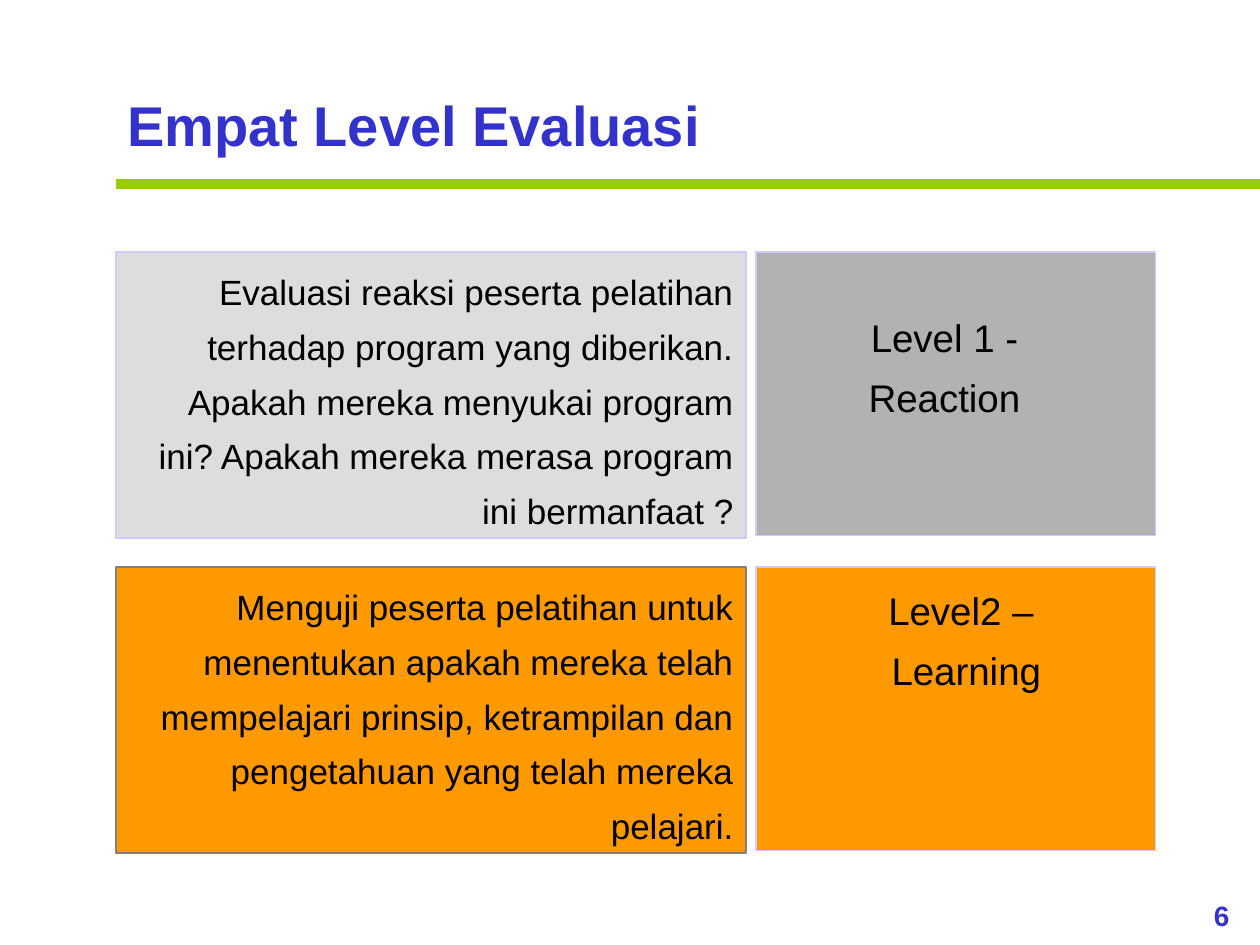
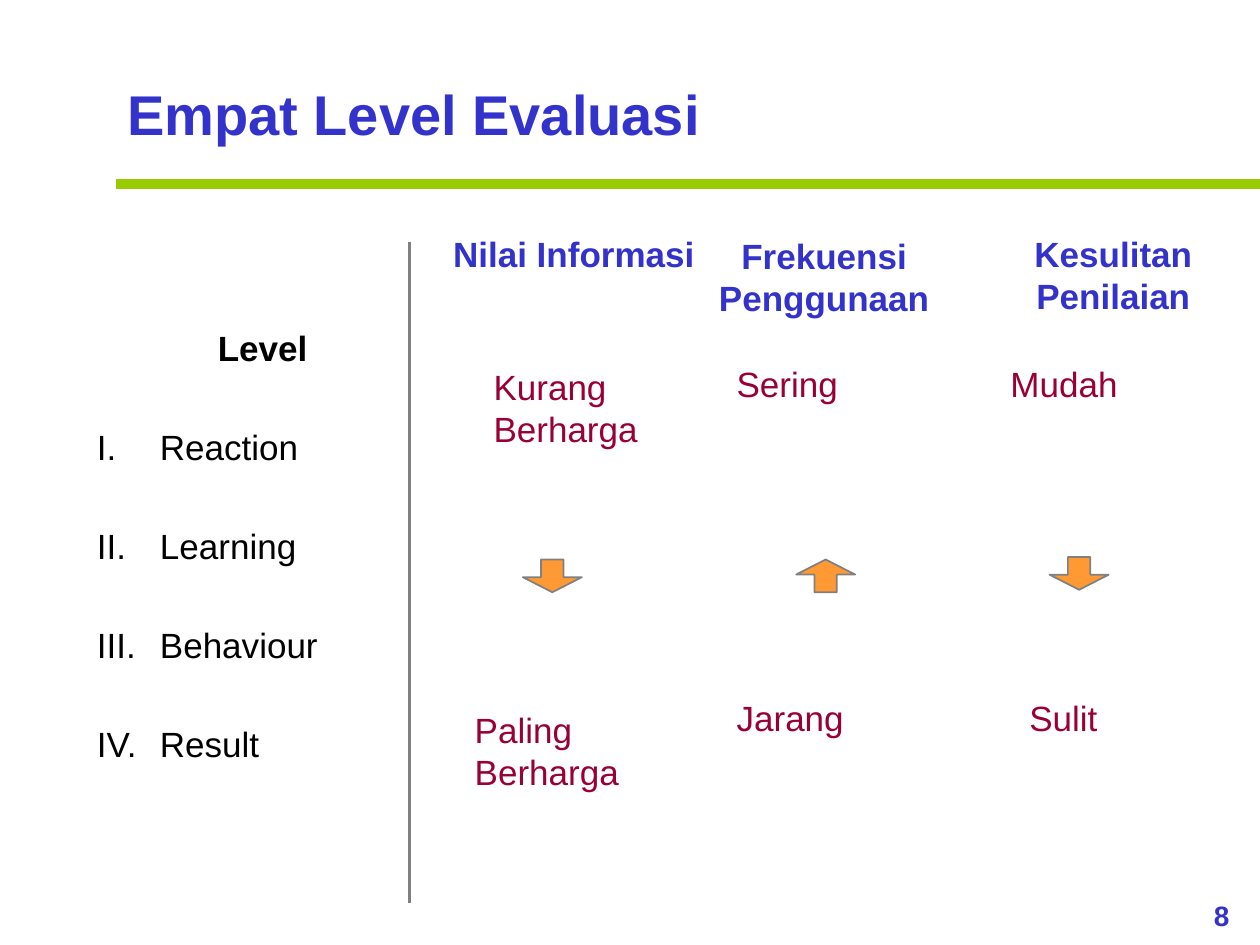
import dataclasses
import typing

import lxml.etree
import pptx
import pptx.dml.color
import pptx.enum.shapes
import pptx.enum.text
import pptx.oxml.ns
import pptx.util

Cm = pptx.util.Cm
Pt = pptx.util.Pt
Align = pptx.enum.text.PP_ALIGN
Kind = pptx.enum.shapes.MSO_SHAPE
qn = pptx.oxml.ns.qn

FONT = "Arial"
COLORS = {
    "blue": "3333CC", "green": "99CC00", "orange": "FF9900",
    "light": "DDDDDD", "mid": "B2B2B2", "lilac": "CCCCFF",
    "gray": "808080", "arrow": "FF9933", "red": "990033",
    "black": "000000",
}
EDGE = 2.34


@dataclasses.dataclass(frozen=True)
class Area:
    """Left, top, width and height in centimetres."""
    left: float
    top: float
    width: float
    height: float

    def spans(self) -> tuple:
        return tuple(Cm(n) for n in dataclasses.astuple(self))


@dataclasses.dataclass(frozen=True)
class Style:
    size: int
    color: str = "black"
    bold: bool = False
    align: typing.Any = Align.LEFT
    space: float = 1.0


@dataclasses.dataclass(frozen=True)
class Level:
    text: str
    names: tuple
    spot: Area
    fill: str
    pale: str
    line: str


@dataclasses.dataclass(frozen=True)
class Column:
    head: str
    zone: Area
    arrow: typing.Any
    tip: tuple
    first: str
    start: tuple
    last: str
    end: tuple


TITLE = Style(32, "blue", True)
NUMBER = Style(16, "blue", True, Align.CENTER)
TEXT = Style(20, align=Align.RIGHT, space=1.3)
NAME = Style(22, align=Align.CENTER, space=1.3)
HEAD = Style(20, "blue", True, Align.CENTER)
WORD = Style(20, "red")
LIST = Style(20, space=0.9)
LEAD = Style(20, bold=True, align=Align.CENTER, space=0.9)

LEVELS = (
    Level("Evaluasi reaksi peserta pelatihan terhadap program yang diberikan. "
          "Apakah mereka menyukai program ini? Apakah mereka merasa program "
          "ini bermanfaat ?",
          ("Level 1 - Reaction",), Area(16.08, 5.92, 5.92, 2.69),
          "mid", "light", "lilac"),
    Level("Menguji peserta pelatihan untuk menentukan apakah mereka telah "
          "mempelajari prinsip, ketrampilan dan pengetahuan yang telah mereka "
          "pelajari.",
          ("Level2 – ", "Learning"), Area(15.67, 11.43, 7.62, 5.1),
          "orange", "orange", "gray"),
)

COLUMNS = (
    Column("Nilai Informasi", Area(8.74, 4.57, 5.66, 2.06),
           Kind.DOWN_ARROW, (10.54, 11.28),
           "Kurang Berharga", (9.7, 7.24), "Paling Berharga", (9.32, 14.15)),
    Column("Frekuensi Penggunaan", Area(13.54, 4.6, 6.15, 1.63),
           Kind.UP_ARROW, (16.05, 11.28),
           "Sering", (14.6, 7.19), "Jarang", (14.6, 13.92)),
    Column("Kesulitan Penilaian", Area(19.69, 4.57, 5.51, 1.65),
           Kind.DOWN_ARROW, (21.16, 11.23),
           "Mudah", (20.12, 7.19), "Sulit", (20.5, 13.92)),
)

STAGES = ("I.\tReaction", "II.\tLearning", "III.\tBehaviour", "IV.\tResult")


def rgb(name: str) -> pptx.dml.color.RGBColor:
    return pptx.dml.color.RGBColor.from_string(COLORS[name])


def format_para(para, style: Style) -> None:
    para.alignment = style.align
    para.line_spacing = style.space
    font = para.font
    font.name, font.size, font.bold = FONT, Pt(style.size), style.bold
    font.color.rgb = rgb(style.color)


def write(shape, lines: typing.Sequence[str], style: Style) -> None:
    frame = shape.text_frame
    frame.word_wrap = True
    frame.auto_size = pptx.enum.text.MSO_AUTO_SIZE.NONE
    frame.vertical_anchor = pptx.enum.text.MSO_ANCHOR.TOP
    frame.text = "\n".join(lines)
    for para in frame.paragraphs:
        format_para(para, style)


def add_text(slide, area: Area, lines: typing.Sequence[str],
             style: Style) -> None:
    write(slide.shapes.add_textbox(*area.spans()), lines, style)


def add_block(slide, area: Area, fill: str, line: str = "",
              width: float = 1, kind=Kind.RECTANGLE):
    shape = slide.shapes.add_shape(kind, *area.spans())
    shape.shadow.inherit = False
    shape.fill.solid()
    shape.fill.fore_color.rgb = rgb(fill)
    if line:
        shape.line.color.rgb = rgb(line)
        shape.line.width = Pt(width)
    else:
        shape.line.fill.background()
    return shape


def place(shape, area: Area) -> None:
    shape.left, shape.top, shape.width, shape.height = area.spans()


def add_page(deck, layout: int, number: int, top: float):
    """Slide with the shared title, band and page number."""
    slide = deck.slides.add_slide(deck.slide_layouts[layout])
    add_block(slide, Area(EDGE, 3.61, 23.06, 0.2), "green")
    add_text(slide, Area(23.85, 17.98, 1.55, 0.94), [str(number)], NUMBER)
    title = slide.shapes.title
    place(title, Area(2.31, top, 12.07, 1.63))
    write(title, ["Empat Level Evaluasi"], TITLE)
    title.text_frame.word_wrap = False
    return slide


def add_levels(deck) -> None:
    slide = add_page(deck, 5, 6, 1.7)
    for row, level in enumerate(LEVELS):
        top = 5.08 + row * 6.35
        add_block(slide, Area(15.24, top, 8.05, 5.72), level.fill,
                  "lilac", 0.75)
        card = add_block(slide, Area(EDGE, top, 12.7, 5.77), level.pale,
                         level.line)
        write(card, [level.text], TEXT)
        add_text(slide, level.spot, level.names, NAME)


def add_list(slide) -> None:
    body = slide.placeholders[1]
    place(body, Area(1.7, 6.55, 7.19, 9.75))
    write(body, ("Level", *STAGES), LIST)
    for row, para in enumerate(body.text_frame.paragraphs):
        props = para._p.get_or_add_pPr()
        props.set("marL", "0")
        props.set("indent", "0")
        # Bullet and tab elements come before the font element
        none = lxml.etree.Element(qn("a:buNone"))
        tabs = lxml.etree.Element(qn("a:tabLst"))
        lxml.etree.SubElement(tabs, qn("a:tab"), pos=str(Cm(2.54)), algn="l")
        font = props.find(qn("a:defRPr"))
        font.addprevious(none)
        font.addprevious(tabs)
        para.space_before = Pt(5 if row else 0)
        para.space_after = Pt(30)
    format_para(body.text_frame.paragraphs[0], LEAD)


def add_matrix(deck) -> None:
    slide = add_page(deck, 1, 8, 1.47)
    add_list(slide)

    # Divider
    rule = slide.shapes.add_connector(
        pptx.enum.shapes.MSO_CONNECTOR.STRAIGHT,
        Cm(8.25), Cm(4.87), Cm(8.25), Cm(18.2))
    rule.line.color.rgb = rgb("gray")
    rule.line.width = Pt(1.5)
    lxml.etree.SubElement(rule._element.spPr, qn("a:effectLst"))

    # Columns: heading, first word, arrow, last word
    for col in COLUMNS:
        add_text(slide, col.zone, [col.head], HEAD)
        arrow = add_block(slide, Area(*col.tip, 1.19, 0.66), "arrow",
                          "gray", kind=col.arrow)
        arrow.adjustments[0] = 0.38
        arrow.adjustments[1] = 0.46
        for word, spot in ((col.first, col.start), (col.last, col.end)):
            add_text(slide, Area(*spot, 4.06, 1.12), [word], WORD)


def main() -> None:
    deck = pptx.Presentation()
    deck.slide_width, deck.slide_height = Cm(25.4), Cm(19.05)
    add_levels(deck)
    add_matrix(deck)
    deck.save("out.pptx")


if __name__ == "__main__":
    main()
